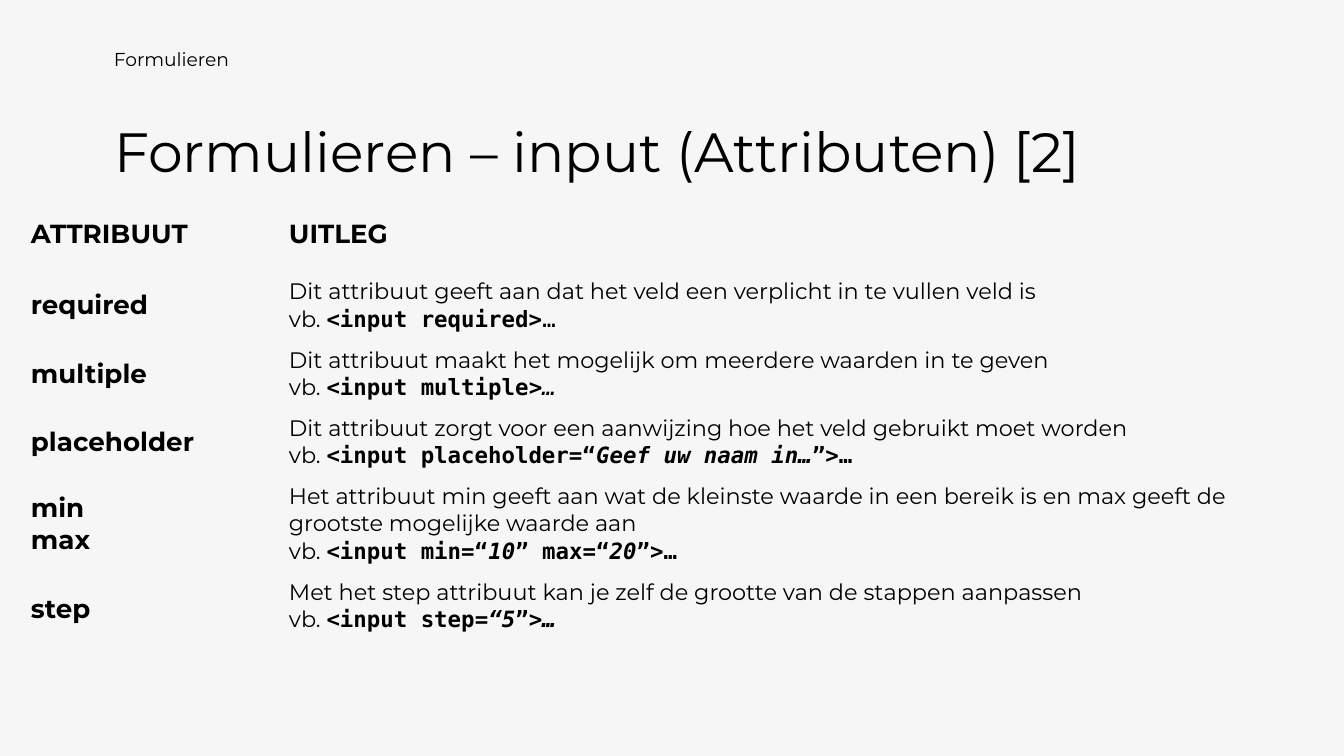
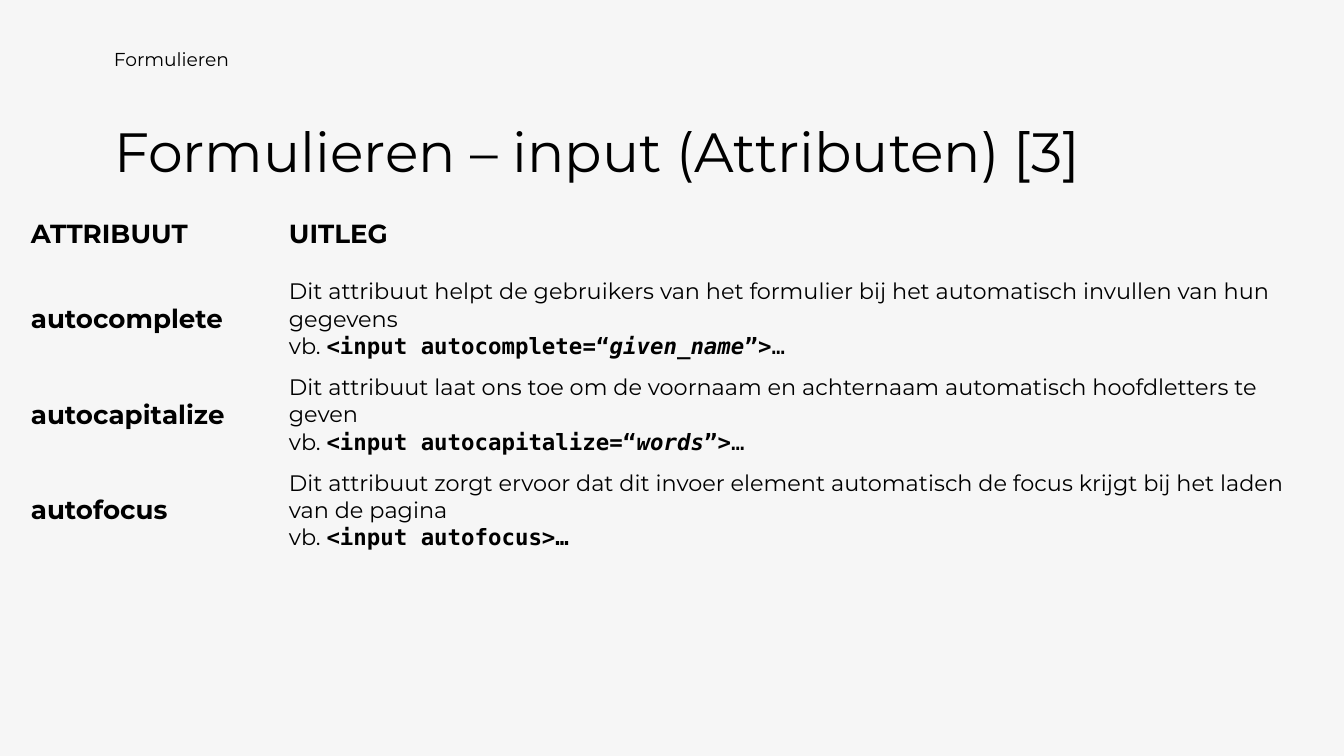
from pptx import Presentation
from pptx.dml.color import RGBColor
from pptx.enum import text
from pptx.oxml import ns
from pptx.util import Inches, Pt

COLORS = {"background": "F6F6F6", "text": "000000"}
SANS = "Montserrat"
MONO = "DejaVu Sans Mono"
NO_STYLE_NO_GRID = "{2D5ABB26-0587-4C30-8999-92F81FD0307C}"
ROW, TALL_ROW = 0.45, 0.55  # least heights; rows grow with their text

# Each row: label, explanation, code runs (text, style letters b and i), height.
REQUIRED_TO_STEP = [
    ("required",
     "Dit attribuut geeft aan dat het veld een verplicht in te vullen veld is",
     [("<input required>", "b"), ("…", "")], ROW),
    ("multiple",
     "Dit attribuut maakt het mogelijk om meerdere waarden in te geven",
     [("<input multiple", "b"), (">", "bi"), ("…", "i")], ROW),
    ("placeholder",
     "Dit attribuut zorgt voor een aanwijzing hoe het veld gebruikt moet worden",
     [("<input placeholder=“", "b"), ("Geef uw naam in…", "bi"), ("”>…", "b")],
     ROW),
    ("min\vmax",
     "Het attribuut min geeft aan wat de kleinste waarde in een bereik is "
     "en max geeft de grootste mogelijke waarde aan",
     [("<input min=“", "b"), ("10", "bi"), ("” max=“", "b"), ("20", "bi"),
      ("”>…", "b")], TALL_ROW),
    ("step",
     "Met het step attribuut kan je zelf de grootte van de stappen aanpassen",
     [("<input step", "b"), ("=“5", "bi"), ("”", "b"), (">…", "bi")], TALL_ROW),
]
AUTO_ATTRIBUTES = [
    ("autocomplete",
     "Dit attribuut helpt de gebruikers van het formulier bij het automatisch "
     "invullen van hun gegevens",
     [("<input autocomplete", "b"), ("=", "bi"), ("“", "b"),
      ("given_name", "bi"), ("”>", "b"), ("…", "")], ROW),
    ("autocapitalize",
     "Dit attribuut laat ons toe om de voornaam en achternaam automatisch "
     "hoofdletters te geven",
     [("<input autocapitalize=“", "b"), ("words", "bi"), ("”>", "b"), ("…", "")],
     ROW),
    ("autofocus",
     "Dit attribuut zorgt ervoor dat dit invoer element automatisch de focus "
     "krijgt bij het laden van de pagina",
     [("<input autofocus>…", "b")], ROW),
]


class Deck:
    def __init__(self):
        self.presentation = Presentation()
        self.presentation.slide_width = Inches(10)
        self.presentation.slide_height = Inches(10 * 9 / 16)
        fill = self.presentation.slide_master.background.fill
        fill.solid()
        fill.fore_color.rgb = RGBColor.from_string(COLORS["background"])
        self.slide = None

    def add_slide(self, title):
        layout = self.presentation.slide_layouts.get_by_name("Title Only")
        self.slide = self.presentation.slides.add_slide(layout)
        shape = self.slide.shapes.title
        shape.left, shape.top = Inches(0.75), Inches(0.82)
        shape.width, shape.height = Inches(8.5), Inches(0.75)
        self.fill_frame(shape.text_frame, title, 29.6)

    def section_label(self, label):
        shape = self.slide.shapes.add_textbox(
            Inches(0.75), Inches(0.31), Inches(4.5), Inches(0.35))
        self.fill_frame(shape.text_frame, label, 10)

    def fill_frame(self, frame, content, size):
        frame.word_wrap = True
        frame.auto_size = text.MSO_AUTO_SIZE.NONE
        frame.vertical_anchor = text.MSO_ANCHOR.TOP
        paragraph = frame.paragraphs[0]
        paragraph.text = content
        self.format(paragraph, size)

    def format(self, paragraph, size, bold=False):
        paragraph.alignment = text.PP_ALIGN.LEFT
        paragraph.font.name = SANS
        paragraph.font.size = Pt(size)
        paragraph.font.bold = bold
        paragraph.font.color.rgb = RGBColor.from_string(COLORS["text"])

    def attribute_table(self, rows, height):
        row_heights = [ROW] + [row[-1] for row in rows]
        shape = self.slide.shapes.add_table(
            len(row_heights), 2, Inches(0.13), Inches(1.57),
            Inches(9.74), Inches(height))
        table = shape.table
        table.first_row = table.horz_banding = False
        table._tbl.tblPr.find(ns.qn("a:tableStyleId")).text = NO_STYLE_NO_GRID
        for column, width in zip(table.columns, (1.92, 7.82)):
            column.width = Inches(width)
        for row, row_height in zip(table.rows, row_heights):
            row.height = Inches(row_height)
        shape.height = Inches(height)
        for cell in table.iter_cells():
            cell.fill.background()
        self.label_cell(table.cell(0, 0), "ATTRIBUUT")
        self.label_cell(table.cell(0, 1), "UITLEG")
        for index, (label, explanation, code, _) in enumerate(rows, start=1):
            cell = table.cell(index, 0)
            cell.vertical_anchor = text.MSO_ANCHOR.MIDDLE
            self.label_cell(cell, label)
            self.explanation_cell(table.cell(index, 1), explanation, code)

    def label_cell(self, cell, label):
        paragraph = cell.text_frame.paragraphs[0]
        paragraph.text = label
        self.format(paragraph, 14, bold=True)

    def explanation_cell(self, cell, explanation, code):
        """Write the explanation and, on a new line, its example in code."""
        paragraph = cell.text_frame.paragraphs[0]
        paragraph.text = f"{explanation}\vvb. "
        self.format(paragraph, 12)
        for content, style in code:
            run = paragraph.add_run()
            run.text = content
            run.font.name = MONO
            run.font.bold = "b" in style
            run.font.italic = "i" in style


def main():
    deck = Deck()
    tables = ((REQUIRED_TO_STEP, 3.2), (AUTO_ATTRIBUTES, 2.55))
    for number, (rows, height) in enumerate(tables, start=2):
        deck.add_slide(f"Formulieren – input (Attributen) [{number}]")
        deck.section_label("Formulieren")
        deck.attribute_table(rows, height)
    deck.presentation.save("out.pptx")


if __name__ == "__main__":
    main()
